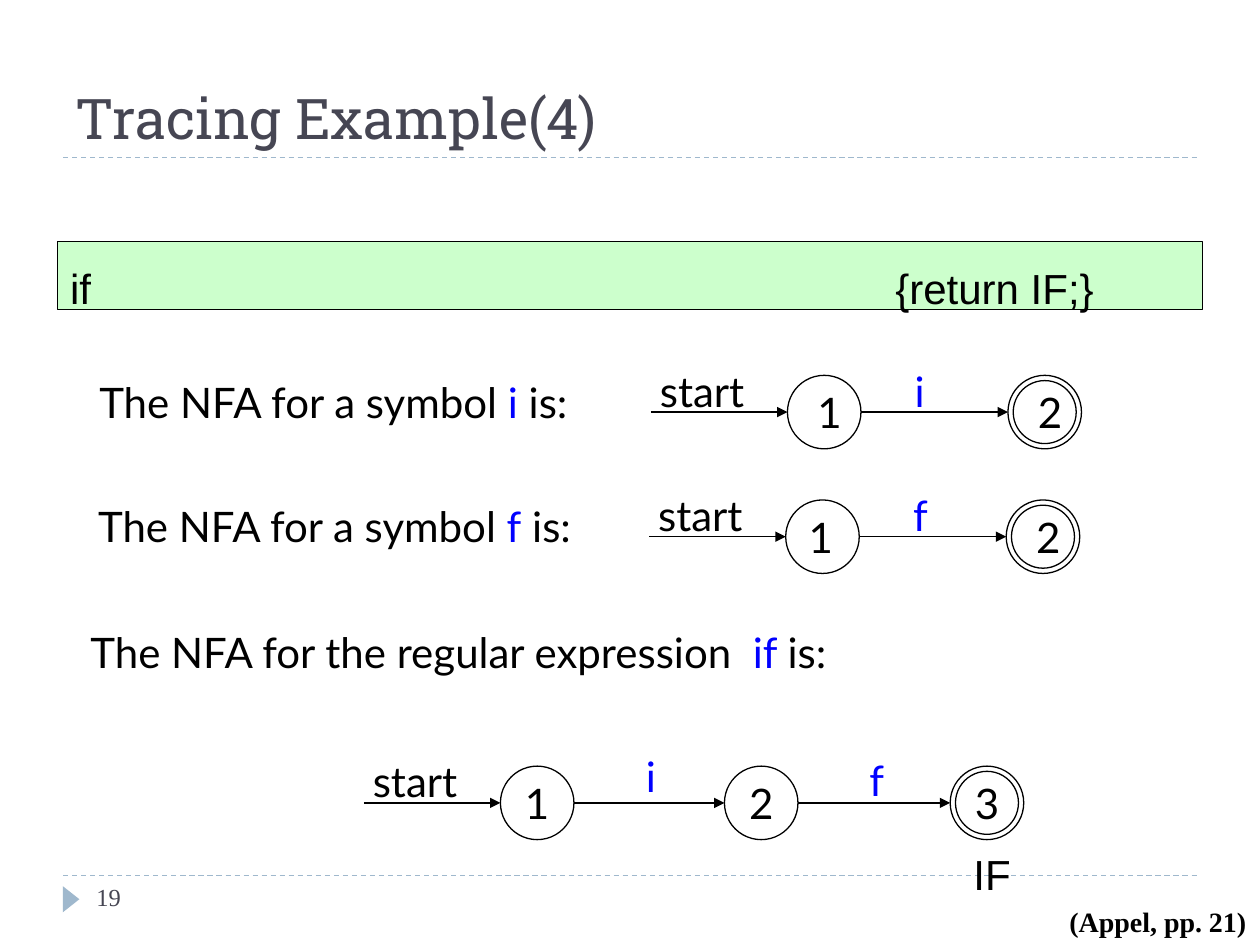
from dataclasses import dataclass

from lxml import etree
from pptx import Presentation
from pptx.dml.color import RGBColor
from pptx.enum.dml import MSO_LINE
from pptx.enum.shapes import MSO_CONNECTOR, MSO_SHAPE
from pptx.enum.text import MSO_ANCHOR, MSO_AUTO_SIZE, PP_ALIGN
from pptx.oxml.ns import qn
from pptx.util import Pt

DASH = MSO_LINE.DASH
STRAIGHT = MSO_CONNECTOR.STRAIGHT
OVAL, RECTANGLE, TRIANGLE = MSO_SHAPE.OVAL, MSO_SHAPE.RECTANGLE, MSO_SHAPE.ISOSCELES_TRIANGLE
TOP, MIDDLE, BOTTOM = MSO_ANCHOR.TOP, MSO_ANCHOR.MIDDLE, MSO_ANCHOR.BOTTOM
LEFT, CENTER = PP_ALIGN.LEFT, PP_ALIGN.CENTER
NO_AUTOFIT = MSO_AUTO_SIZE.NONE


@dataclass(frozen=True)
class Theme:
    ink: RGBColor = RGBColor(0x00, 0x00, 0x00)
    symbol: RGBColor = RGBColor(0x00, 0x00, 0xFF)
    heading: RGBColor = RGBColor(0x46, 0x46, 0x53)
    accent: RGBColor = RGBColor(0x9F, 0xB8, 0xCD)
    rule_fill: RGBColor = RGBColor(0xCC, 0xFF, 0xCC)
    title_font: str = "Roboto Slab"
    body_font: str = "Lato"
    code_font: str = "Arial"
    note_font: str = "Times New Roman"
    title_size: int = 32
    body_size: int = 24
    citation_size: int = 16
    number_size: int = 14
    line_width: float = 0.75


THEME = Theme()
STATE_SIZE = 42
RING_INSET = 3
LABEL_HEIGHT = 36
BODY = {"name": THEME.body_font, "size": Pt(THEME.body_size)}
CODE = {"name": THEME.code_font, "size": Pt(THEME.body_size)}
CITATION = {"name": THEME.note_font, "size": Pt(THEME.citation_size), "bold": True}
NUMBER = {"name": THEME.note_font, "size": Pt(THEME.number_size)}
HEADING = {"name": THEME.title_font, "size": Pt(THEME.title_size)}


def points(box):
    return [Pt(length) for length in box]


def write(frame, runs, font, align=LEFT, anchor=TOP, wrap=False):
    frame_format = {"word_wrap": wrap, "auto_size": NO_AUTOFIT, "vertical_anchor": anchor}
    for attribute, value in frame_format.items():
        setattr(frame, attribute, value)
    paragraph = frame.paragraphs[0]
    paragraph.alignment = align
    for words, color in runs:
        run = paragraph.add_run()
        run.text = words
        run.font.color.rgb = color
        for attribute, value in font.items():
            setattr(run.font, attribute, value)
    return paragraph


def add_label(slide, box, runs, font, **layout):
    label = slide.shapes.add_textbox(*points(box))
    write(label.text_frame, runs, font, **layout)


def add_outline(slide, kind, box, fill=None):
    outline = slide.shapes.add_shape(kind, *points(box))
    outline.shadow.inherit = False
    outline.line.color.rgb = THEME.ink
    outline.line.width = Pt(THEME.line_width)
    if fill is None:
        outline.fill.background()
    else:
        outline.fill.solid()
        outline.fill.fore_color.rgb = fill
    return outline


def add_line(slide, start, end, color):
    line = slide.shapes.add_connector(STRAIGHT, *points((*start, *end)))
    line.line.color.rgb = color
    line.line.width = Pt(THEME.line_width)
    etree.SubElement(line._element.spPr, qn("a:effectLst"))
    return line


def add_arrow(slide, x_from, x_to, y):
    arrow = add_line(slide, (x_from, y), (x_to, y), THEME.ink)
    etree.SubElement(arrow.line._get_or_add_ln(), qn("a:tailEnd"), type="triangle")


def add_state(slide, box, name, shift, accepting):
    left, top = box
    state = add_outline(slide, OVAL, (left, top, STATE_SIZE, STATE_SIZE))
    if accepting:
        ring = STATE_SIZE - 2 * RING_INSET
        add_outline(slide, OVAL, (left + RING_INSET, top + RING_INSET, ring, ring))
    frame = state.text_frame
    margins = {"margin_left": shift, "margin_right": -shift, "margin_top": 0, "margin_bottom": 0}
    for side, margin in margins.items():
        setattr(frame, side, Pt(margin))
    write(frame, [(name, THEME.ink)], BODY, CENTER, MIDDLE)


def add_automaton(slide, box, states, symbols):
    left, top = box
    axis = top + STATE_SIZE / 2
    add_label(slide, (left - 2, top - 9.4, 66, LABEL_HEIGHT), [("start", THEME.ink)], BODY)
    arrow_from = left
    for number, (offset, shift) in enumerate(states, 1):
        state_left = left + offset
        add_arrow(slide, arrow_from, state_left, axis)
        add_state(slide, (state_left, top), str(number), shift, number == len(states))
        arrow_from = state_left + STATE_SIZE
    for symbol, middle, rise in symbols:
        add_label(slide, (left + middle - 11, top - rise, 22, LABEL_HEIGHT),
                  [(symbol, THEME.symbol)], BODY, align=CENTER)


def add_caption(slide, box, before, symbol, after):
    runs = [(before, THEME.ink), (symbol, THEME.symbol), (after, THEME.ink)]
    add_label(slide, box, runs, BODY)


def add_rule(slide, box, pattern, action, action_left):
    bar = add_outline(slide, RECTANGLE, box, THEME.rule_fill)
    paragraph = write(bar.text_frame, [(f"{pattern}\t{action}", THEME.ink)], CODE, anchor=MIDDLE)
    paragraph.line_spacing = 1.5
    tabs = etree.SubElement(paragraph._p.get_or_add_pPr(), qn("a:tabLst"))
    etree.SubElement(tabs, qn("a:tab"), pos=str(Pt(action_left)), algn="l")


def add_heading(slide, box, words):
    left, top, width, height = box
    title = slide.shapes.title
    title.left, title.top, title.width, title.height = points(box)
    write(title.text_frame, [(words, THEME.heading)], HEADING, anchor=BOTTOM, wrap=True)
    add_divider(slide, left, top + height, width)


def add_divider(slide, left, top, width):
    divider = add_line(slide, (left, top), (left + width, top), THEME.accent)
    divider.line.dash_style = DASH


def add_footer(slide, box, number, citation):
    left, top, width = box
    add_divider(slide, left, top, width)
    marker = slide.shapes.add_shape(TRIANGLE, *points((left - 2.9, top + 8.7, 15, 9.5)))
    marker.rotation = 90
    marker.shadow.inherit = False
    marker.fill.solid()
    marker.fill.fore_color.rgb = THEME.accent
    marker.line.fill.background()
    add_label(slide, (left + 12, top, 156, 29), [(number, THEME.heading)], NUMBER, wrap=True)
    add_label(slide, (left + 568, top + 13, 115, 27), [(citation, THEME.ink)], CITATION)


def build_slide(presentation):
    slide = presentation.slides.add_slide(presentation.slide_layouts[5])
    add_heading(slide, (36, 12, 648, 78), "Tracing Example(4)")
    add_footer(slide, (36, 500.4, 648), "19", "(Appel, pp. 21)")
    add_rule(slide, (33, 138, 654, 39), "if", "{return IF;}", 471.6)

    add_caption(slide, (49.7, 211.7, 297, LABEL_HEIGHT), "The NFA for a symbol ", "i", " is:")
    add_automaton(slide, (372, 214.5), [(78, 3), (204, 3)], [("i", 153.5, 9.4)])

    add_caption(slide, (49, 282.5, 299, LABEL_HEIGHT), "The NFA for a symbol ", "f", " is:")
    add_automaton(slide, (371, 285.7), [(78, -1), (204, 3)], [("f", 155, 9.4)])

    add_caption(slide, (44.6, 354.3, 466, LABEL_HEIGHT),
                "The NFA for the regular expression ", " if ", "is:")
    add_automaton(slide, (208, 437.8), [(78, 0), (206, 0), (335, 0)],
                  [("i", 164, 12.3), ("f", 293, 10)])
    add_label(slide, (549.4, 481, 35, LABEL_HEIGHT), [("IF", THEME.ink)], CODE,
              align=CENTER, anchor=MIDDLE)


def main():
    presentation = Presentation()
    presentation.slide_width, presentation.slide_height = Pt(720), Pt(540)
    build_slide(presentation)
    presentation.save("out.pptx")


if __name__ == "__main__":
    main()
